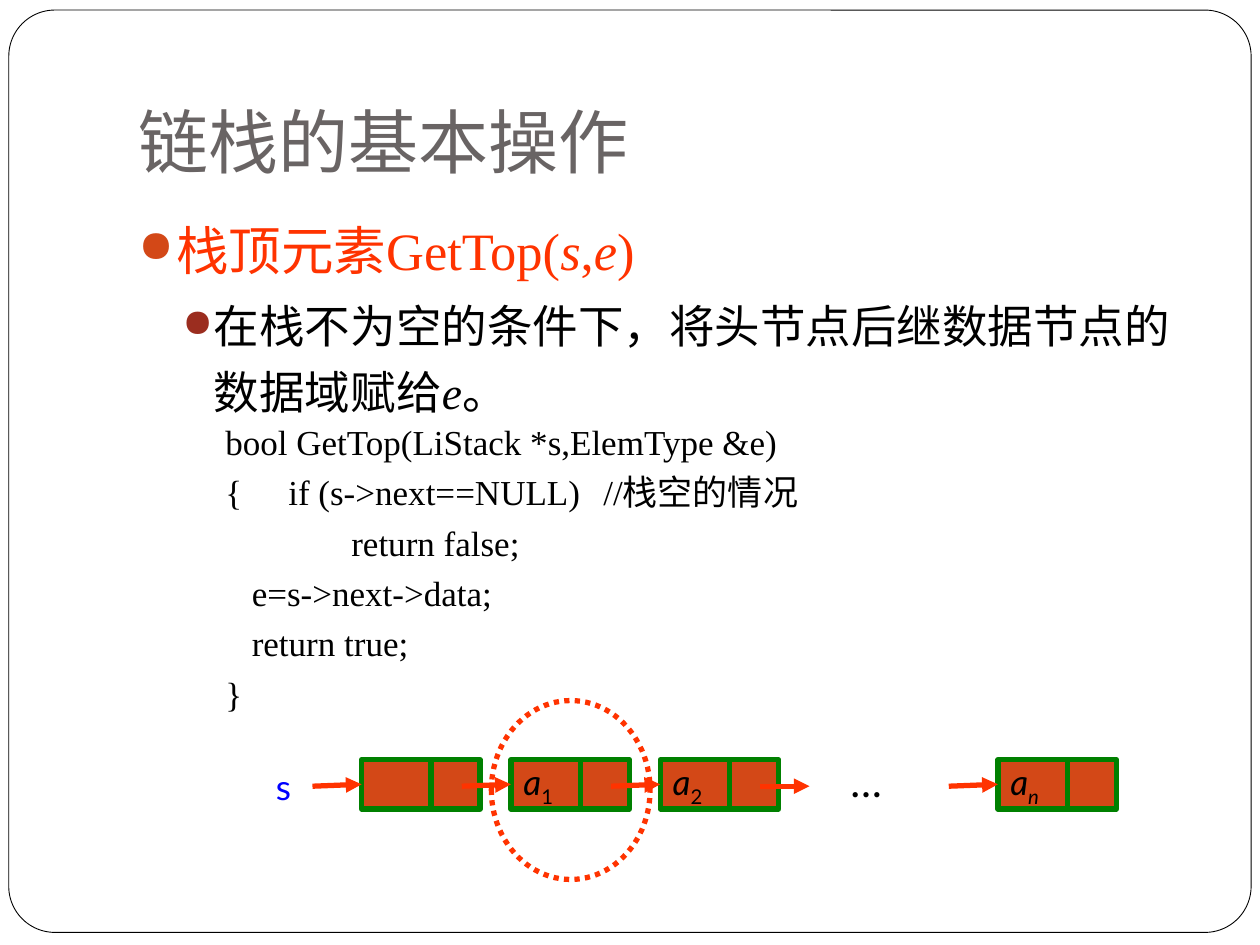
from pptx import Presentation
from pptx.dml.color import RGBColor
from pptx.enum.dml import MSO_LINE
from pptx.enum.shapes import MSO_CONNECTOR, MSO_SHAPE
from pptx.enum.text import MSO_ANCHOR, PP_ALIGN
from pptx.oxml.ns import qn
from pptx.util import Inches, Pt
from lxml import etree

RECTANGLE, ROUNDED, OVAL = MSO_SHAPE.RECTANGLE, MSO_SHAPE.ROUNDED_RECTANGLE, MSO_SHAPE.OVAL
STRAIGHT, ROUND_DOT = MSO_CONNECTOR.STRAIGHT, MSO_LINE.ROUND_DOT
MIDDLE, BOTTOM, LEFT = MSO_ANCHOR.MIDDLE, MSO_ANCHOR.BOTTOM, PP_ALIGN.LEFT
SERIF, SANS, TITLE_FONT = "Times New Roman", "Lato", "Roboto"
RED, BLACK, ORANGE, GREEN = "FF3300", "000000", "D34817", "008000"
TITLE_ONLY = 5


def color(hex_text):
    return RGBColor.from_string(hex_text)


def inches(*lengths):
    return [Inches(length) for length in lengths]


def child(parent, tag, **attributes):
    return etree.SubElement(parent, qn(tag), attributes)


def add_span(para, text, size, font, hex_text, italic=False, subscript=False):
    span = para.add_run()
    span.text = text
    span.font.size = Pt(size)
    span.font.name = font
    span.font.color.rgb = color(hex_text)
    span.font.italic = italic
    if subscript:
        span.font._element.set("baseline", "-25000")


def add_text_box(page, box):
    frame = page.shapes.add_textbox(*inches(*box)).text_frame
    frame.word_wrap = True
    return frame


def next_paragraph(frame, index):
    return frame.paragraphs[0] if index == 0 else frame.add_paragraph()


def add_outline(page, preset, box, line, width, fill=None):
    shape = page.shapes.add_shape(preset, *inches(*box))
    shape.shadow.inherit = False
    if fill:
        shape.fill.solid()
        shape.fill.fore_color.rgb = color(fill)
    else:
        shape.fill.background()
    shape.line.color.rgb = color(line)
    shape.line.width = Pt(width)
    return shape


def add_arrow(page, left, top, length, target=None):
    """Draw an arrow to the right, joined to the left side of target if given."""
    arrow = page.shapes.add_connector(STRAIGHT, *inches(left, top, left + length, top))
    if target is not None:
        arrow.end_connect(target, 1)
    arrow.line.color.rgb = color(RED)
    arrow.line.width = Pt(3)
    child(arrow.line._get_or_add_ln(), "a:tailEnd", type="triangle")
    child(arrow._element.spPr, "a:effectLst")


def add_page_border(page, box):
    border = add_outline(page, ROUNDED, box, BLACK, 0.5, "FFFFFF")
    border.adjustments[0] = 0.05
    page.shapes._spTree.insert(2, border._element)


def add_title(page, box):
    title = page.shapes.title
    title.left, title.top, title.width, title.height = inches(*box)
    frame = title.text_frame
    frame.vertical_anchor = BOTTOM
    frame.margin_bottom = Inches(0.1)
    para = frame.paragraphs[0]
    para.alignment = LEFT
    add_span(para, "链栈的基本操作", 40, TITLE_FONT, "696464")


def add_bullets(page, box):
    # level, margin, hanging, space before, bullet colour, size, text colour, (text, italic) spans
    items = [
        (0, 0.3, 0.3, 5.8, ORANGE, 30, RED,
         [("栈顶元素GetTop(", False), ("s", True), (",", False), ("e", True), (")", False)]),
        (1, 0.6, 0.25, 3.7, "9B2D1F", 26, BLACK,
         [("在栈不为空的条件下，将头节点后继数据节点的数据域赋给", False),
          ("e", True), ("。", False)]),
    ]
    frame = add_text_box(page, box)
    for index, (level, margin, hanging, before, bullet, size, ink, spans) in enumerate(items):
        para = next_paragraph(frame, index)
        para.level = level
        para.line_spacing = 1.2
        para.space_before = Pt(before)
        settings = para._p.get_or_add_pPr()
        settings.set("marL", str(Inches(margin)))
        settings.set("indent", str(-Inches(hanging)))
        child(child(settings, "a:buClr"), "a:srgbClr", val=bullet)
        child(settings, "a:buSzPct", val="85000")
        child(settings, "a:buChar", char="●")
        for text, italic in spans:
            add_span(para, text, size, SERIF, ink, italic)


def add_code(page, box):
    lines = [
        (0, "bool GetTop(LiStack *s,ElemType &e)"),
        (0, "{\tif (s->next==NULL)\t//栈空的情况"),
        (1, "return false;"),
        (0.21, "e=s->next->data;"),
        (0.21, "return true;"),
        (0, "}"),
    ]
    frame = add_text_box(page, box)
    for index, (margin, text) in enumerate(lines):
        para = next_paragraph(frame, index)
        para.line_spacing = 1.2
        settings = para._p.get_or_add_pPr()
        settings.set("marL", str(Inches(margin)))
        settings.set("indent", "0")
        if "\t" in text:
            stops = child(settings, "a:tabLst")
            for stop in (0.27, 3):
                child(stops, "a:tab", pos=str(Inches(stop)), algn="l")
        add_span(para, text, 20, SERIF, BLACK)


def add_label(page, box, text, size, ink, before):
    para = add_text_box(page, box).paragraphs[0]
    para.space_before = Pt(before)
    add_span(para, text, size, SANS, ink)


def add_node(page, left, top, index):
    """Draw a list node as a data cell and a pointer cell; return the data cell."""
    data_width, pointer_width, height = 0.55, 0.39, 0.39
    data = add_outline(page, RECTANGLE, (left, top, data_width, height), GREEN, 3, ORANGE)
    add_outline(page, RECTANGLE, (left + data_width, top, pointer_width, height),
                GREEN, 3, ORANGE)
    if index:
        frame = data.text_frame
        frame.word_wrap = False
        frame.vertical_anchor = MIDDLE
        para = frame.paragraphs[0]
        para.alignment = LEFT
        add_span(para, "a", 20, SANS, BLACK, True)
        add_span(para, index, 20, SANS, BLACK, index == "n", True)
    return data


def add_linked_list(page, box):
    left, top, width, height = box
    node_top, arrow_top, arrow_length = top + 0.47, top + 0.68, 0.39
    add_label(page, (left, node_top, 0.39, 0.44), "s", 20, "0000FF", 12.5)
    node_pitch, first = 1.185, left + 0.78
    nodes = [(first, ""), (first + node_pitch, "1"), (first + 2 * node_pitch, "2"),
             (left + width - 0.94, "n")]
    for node_left, index in nodes:
        node = add_node(page, node_left, node_top, index)
        add_arrow(page, node_left - arrow_length, arrow_top, arrow_length, node)
    add_arrow(page, first + 3 * node_pitch - arrow_length, arrow_top, arrow_length)
    add_label(page, (left + 4.56, top + 0.39, 0.55, 0.5), "…", 24, BLACK, 15)
    ring = add_outline(page, OVAL, (left + 1.81, top, 1.26, height), RED, 3)
    ring.line.dash_style = ROUND_DOT


def main():
    deck = Presentation()
    deck.slide_width, deck.slide_height = inches(10, 7.5)
    page = deck.slides.add_slide(deck.slide_layouts[TITLE_ONLY])
    add_page_border(page, (0.07, 0.08, 9.86, 7.32))
    add_title(page, (1, 0.3, 8.5, 1.25))
    add_bullets(page, (1, 1.58, 8.5, 5))
    add_code(page, (1.69, 3.22, 8.2, 2.5))
    add_linked_list(page, (2.09, 5.56, 6.77, 1.42))
    deck.save("out.pptx")


if __name__ == "__main__":
    main()
